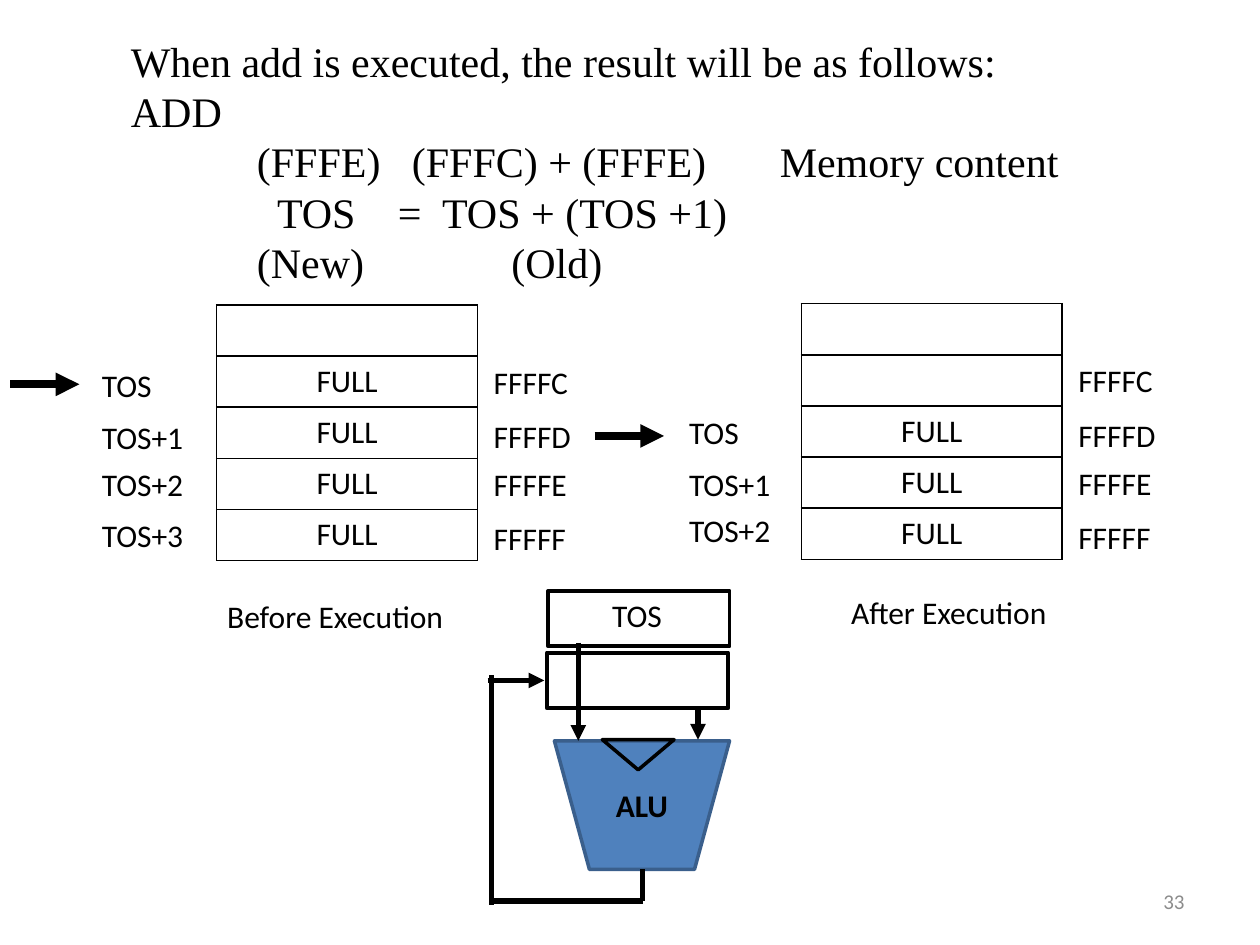
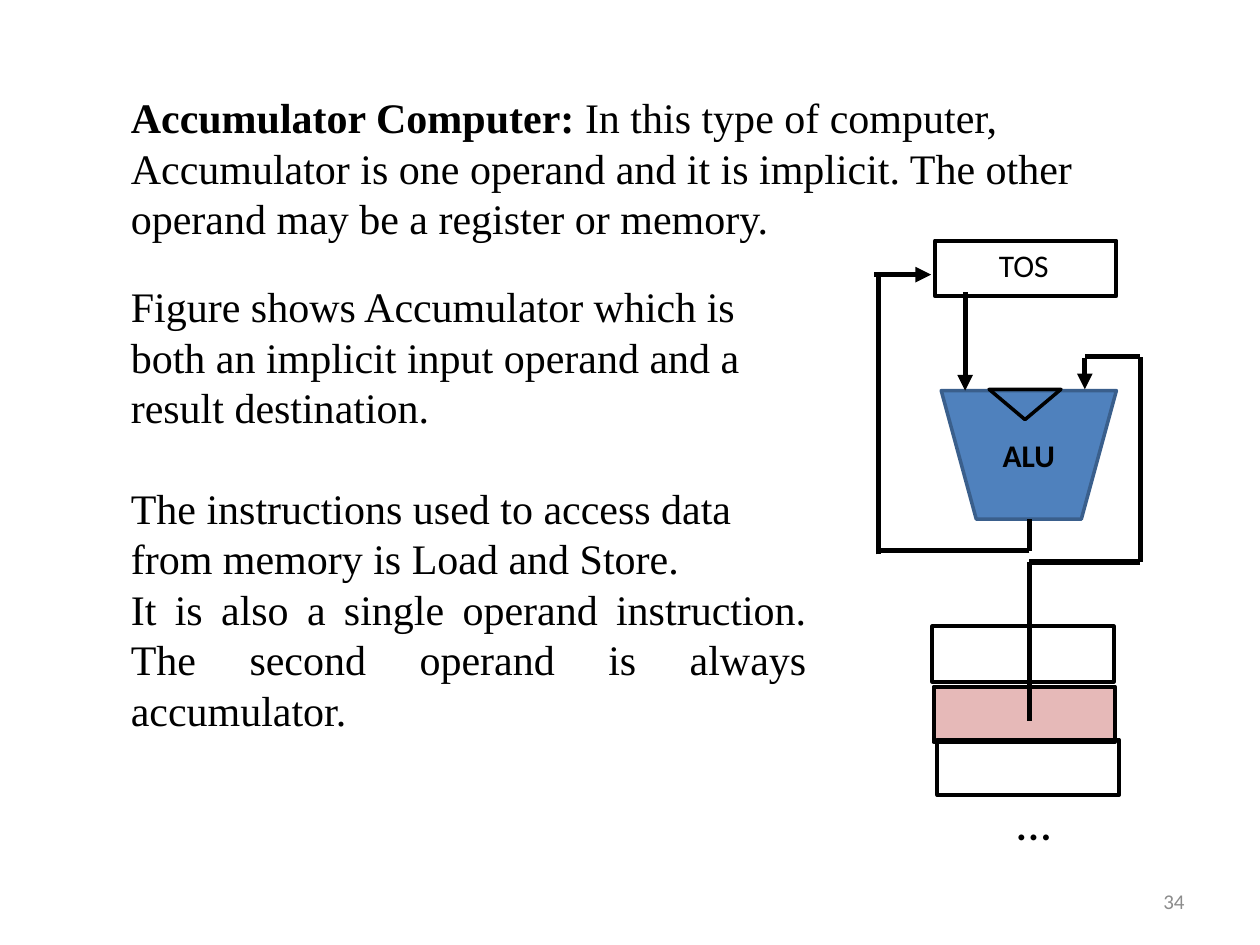
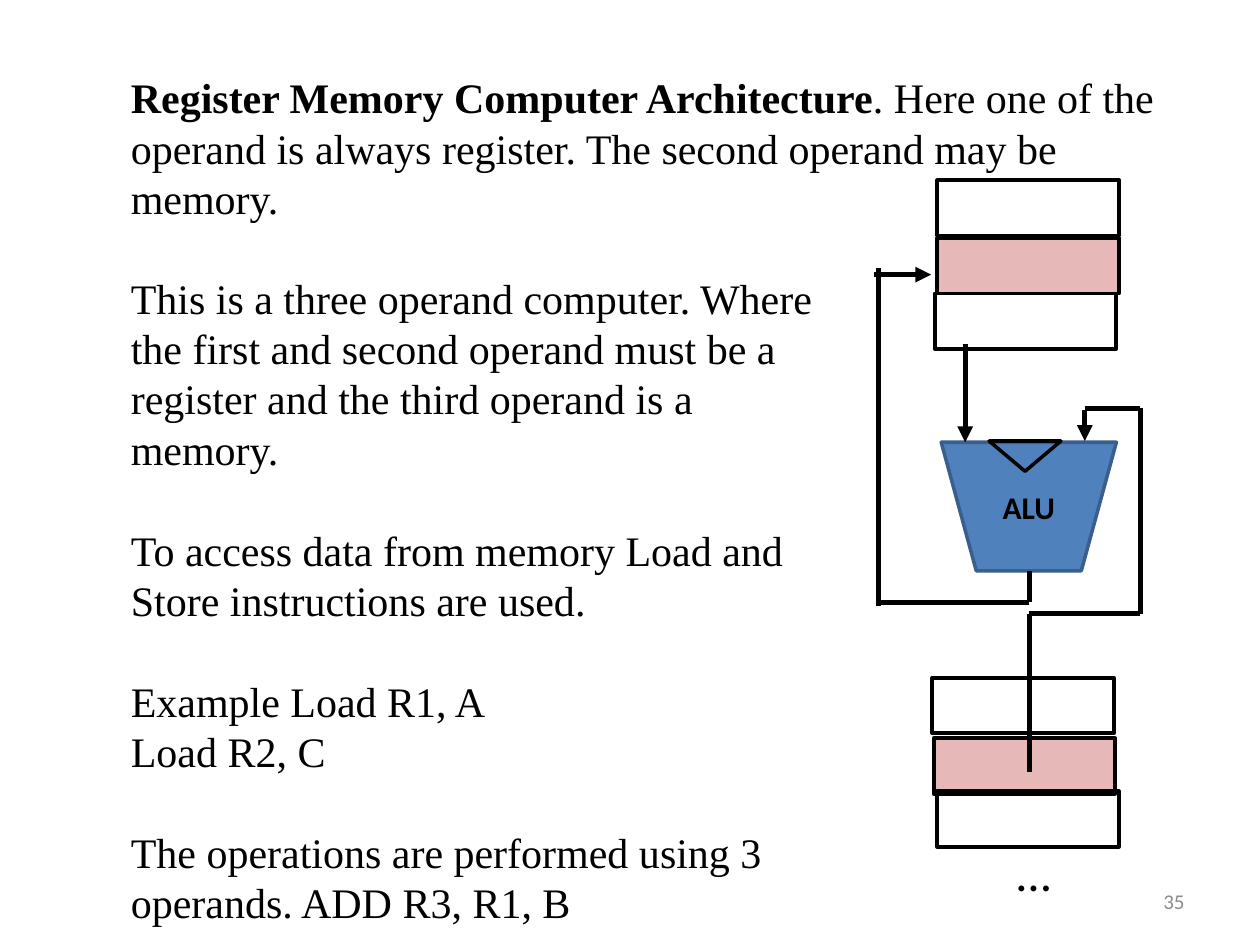
from dataclasses import dataclass
from typing import NamedTuple, Optional

from lxml.etree import SubElement
from pptx import Presentation
from pptx.dml.color import RGBColor
from pptx.enum.shapes import MSO_CONNECTOR, MSO_SHAPE
from pptx.enum.text import MSO_ANCHOR, MSO_AUTO_SIZE, PP_ALIGN
from pptx.oxml.ns import qn
from pptx.shapes.autoshape import Shape
from pptx.slide import Slide
from pptx.text.text import TextFrame
from pptx.util import Emu, Pt

EMU_PER_PX = 9144
COLORS = {
    "ink": "000000",
    "number": "8C8C8C",
    "alu": "4F81BD",
    "alu_edge": "3A5F8C",
    "operand": "E6B9B8",
}
SERIF = "Times New Roman"
SANS = "Calibri"
BLANK_LINE = 28.8
REGISTER_SIZE = (144, 44)
ADDRESSES = ("FFFFC", "FFFFD", "FFFFE", "FFFFF")
ADDRESS_OFFSETS = (41, 84, 122, 165)


class Box(NamedTuple):
    left: int
    top: int
    width: int
    height: int


class Point(NamedTuple):
    x: int
    y: int


@dataclass(frozen=True)
class Style:
    size: float
    font: str = SANS
    color: str = "ink"
    bold: bool = False


BODY = Style(24, SERIF)
BODY_BOLD = Style(24, SERIF, bold=True)
LABEL = Style(18)
ALU_LABEL = Style(18, bold=True)
ELLIPSIS = Style(28)
NUMBER = Style(12, color="number")


class Span(NamedTuple):
    text: str
    style: Style = BODY


@dataclass(frozen=True)
class TextLine:
    spans: tuple[Span, ...]
    align: PP_ALIGN = PP_ALIGN.LEFT
    space_before: float = 0
    tabs: tuple[int, ...] = ()


class Wire(NamedTuple):
    start: Point
    end: Point
    arrow: bool = False
    width: float = 3


class Register(NamedTuple):
    left: int
    top: int
    fill: Optional[str] = None


@dataclass(frozen=True)
class StackView:
    left: int
    top: int
    empty_rows: int
    labels_left: int
    label_offsets: tuple[int, ...]
    pointer_offset: int
    caption: str
    caption_box: Box


@dataclass(frozen=True)
class AluView:
    origin: Point
    feedback_y: int
    riser_top: int
    registers: tuple[Register, ...]
    tos_label: Optional[Point] = None
    has_memory: bool = False


STACKS = (
    StackView(172, 242, 1, 71, (44, 85, 122, 163), 63,
              "Before Execution", Box(150, 469, 232, 40)),
    StackView(636, 241, 2, 537, (82, 123, 160), 105,
              "After Execution", Box(637, 466, 232, 40)),
)
STACK_ALU = AluView(Point(440, 588), 540, 536,
                    (Register(435, 469), Register(434, 518)), Point(476, 468))
ACCUMULATOR_ALU = AluView(Point(747, 310), 218, 218,
                          (Register(742, 191),), Point(783, 190), True)
REGISTER_ALU = AluView(Point(747, 351), 218, 213,
                       (Register(742, 233), Register(744, 189, "operand"),
                        Register(744, 143)), has_memory=True)


def px(length: int) -> Emu:
    return Emu(length * EMU_PER_PX)


def color(name: str) -> RGBColor:
    return RGBColor.from_string(COLORS[name])


def body(text: str, space_before: float = 0, align: PP_ALIGN = PP_ALIGN.LEFT,
         tabs: tuple[int, ...] = ()) -> TextLine:
    return TextLine((Span(text),), align, space_before, tabs)


def fill_text(text_frame: TextFrame, lines: tuple[TextLine, ...]) -> None:
    for index, line in enumerate(lines):
        paragraph = text_frame.paragraphs[0] if index == 0 else text_frame.add_paragraph()
        if line.tabs:
            tab_list = SubElement(paragraph._p.get_or_add_pPr(), qn("a:tabLst"))
            for position in line.tabs:
                SubElement(tab_list, qn("a:tab"), pos=str(px(position)), algn="l")
        paragraph.alignment = line.align
        if line.space_before:
            paragraph.space_before = Pt(line.space_before)
        for span in line.spans:
            run = paragraph.add_run()
            run.text = span.text
            run.font.name = span.style.font
            run.font.size = Pt(span.style.size)
            run.font.bold = span.style.bold
            run.font.color.rgb = color(span.style.color)


def add_text(slide: Slide, box: Box, *lines: TextLine) -> TextFrame:
    text_frame = slide.shapes.add_textbox(*map(px, box)).text_frame
    text_frame.word_wrap = True
    text_frame.auto_size = MSO_AUTO_SIZE.SHAPE_TO_FIT_TEXT
    fill_text(text_frame, lines)
    return text_frame


def add_label(slide: Slide, box: Box, text: str, align: PP_ALIGN = PP_ALIGN.LEFT) -> None:
    add_text(slide, box, TextLine((Span(text, LABEL),), align))


def add_number(slide: Slide, number: int) -> None:
    line = TextLine((Span(str(number), NUMBER),), PP_ALIGN.RIGHT)
    text_frame = add_text(slide, Box(717, 695, 233, 40), line)
    text_frame.auto_size = MSO_AUTO_SIZE.NONE
    text_frame.vertical_anchor = MSO_ANCHOR.MIDDLE


def add_figure(slide: Slide, kind: MSO_SHAPE, box: Box, line_width: float,
               fill: Optional[str] = None, edge: str = "ink") -> Shape:
    shape = slide.shapes.add_shape(kind, *map(px, box))
    shape.shadow.inherit = False
    if fill:
        shape.fill.solid()
        shape.fill.fore_color.rgb = color(fill)
    else:
        shape.fill.background()
    shape.line.color.rgb = color(edge)
    shape.line.width = Pt(line_width)
    return shape


def add_register(slide: Slide, register: Register) -> None:
    box = Box(register.left, register.top, *REGISTER_SIZE)
    add_figure(slide, MSO_SHAPE.RECTANGLE, box, 2.25, register.fill)


def add_wire(slide: Slide, wire: Wire) -> None:
    connector = slide.shapes.add_connector(
        MSO_CONNECTOR.STRAIGHT, *map(px, (*wire.start, *wire.end)))
    connector.line.color.rgb = color("ink")
    connector.line.width = Pt(wire.width)
    properties = connector._element.spPr
    if wire.arrow:
        SubElement(properties.find(qn("a:ln")), qn("a:tailEnd"), type="triangle")
    SubElement(properties, qn("a:effectLst"))


def add_stack(slide: Slide, stack: StackView) -> None:
    table = slide.shapes.add_table(
        5, 1, *map(px, (stack.left, stack.top, 207, 203))).table
    table.first_row = False
    table.horz_banding = False
    for index, row in enumerate(table.rows):
        cell = row.cells[0]
        if index >= stack.empty_rows:
            fill_text(cell.text_frame, (TextLine((Span("FULL", LABEL),), PP_ALIGN.CENTER),))
        properties = cell._tc.get_or_add_tcPr()
        for side in ("lnL", "lnR", "lnT", "lnB"):
            border = SubElement(properties, qn(f"a:{side}"), w=str(Pt(1)))
            solid = SubElement(border, qn("a:solidFill"))
            SubElement(solid, qn("a:srgbClr"), val=COLORS["ink"])
        cell.fill.background()
    for address, offset in zip(ADDRESSES, ADDRESS_OFFSETS):
        add_label(slide, Box(stack.left + 210, stack.top + offset, 153, 40), address)
    for index, offset in enumerate(stack.label_offsets):
        name = f"TOS+{index}" if index else "TOS"
        add_label(slide, Box(stack.labels_left, stack.top + offset, 102, 40), name)
    pointer_y = stack.top + stack.pointer_offset
    add_wire(slide, Wire(Point(stack.left - 164, pointer_y),
                         Point(stack.left - 109, pointer_y), True, 4.5))
    add_label(slide, stack.caption_box, stack.caption, PP_ALIGN.CENTER)


def add_memory(slide: Slide, origin: Point) -> None:
    x, y = origin
    for left, top, fill in ((-7, 187, None), (-6, 235, "operand"), (-3, 277, None)):
        add_register(slide, Register(x + left, y + top, fill))
    dots = add_text(slide, Box(x - 6, y + 313, 138, 57), TextLine((Span("…", ELLIPSIS),)))
    dots.margin_left = px(66)
    corners = [Point(x + dx, y + dy) for dx, dy in
               ((70, 262), (70, 136), (158, 136), (158, -27), (114, -27))]
    for start, end in zip(corners, corners[1:]):
        add_wire(slide, Wire(start, end))


def add_alu(slide: Slide, view: AluView) -> None:
    x, y = view.origin
    alu = add_figure(slide, MSO_SHAPE.FLOWCHART_MANUAL_OPERATION,
                     Box(x, y, 139, 102), 2, "alu", "alu_edge")
    alu.text_frame.vertical_anchor = MSO_ANCHOR.MIDDLE
    fill_text(alu.text_frame, (TextLine((Span("ALU", ALU_LABEL),), PP_ALIGN.CENTER),))
    notch = add_figure(slide, MSO_SHAPE.ISOSCELES_TRIANGLE, Box(x + 38, y - 1, 57, 24), 2)
    notch.rotation = 180
    for register in view.registers:
        add_register(slide, register)
    output_x, riser_x, turn_y = x + 70, x - 50, y + 127
    wires = (
        Wire(Point(x + 19, y - 78), Point(x + 19, y), True),
        Wire(Point(x + 114, y - 26), Point(x + 114, y - 1), True),
        Wire(Point(output_x, y + 102), Point(output_x, turn_y)),
        Wire(Point(output_x, turn_y), Point(riser_x, turn_y)),
        Wire(Point(riser_x, turn_y + 3), Point(riser_x, view.riser_top)),
        Wire(Point(riser_x - 3, view.feedback_y), Point(x - 8, view.feedback_y), True),
    )
    for wire in wires:
        add_wire(slide, wire)
    if view.tos_label:
        add_label(slide, Box(*view.tos_label, 95, 40), "TOS")
    if view.has_memory:
        add_memory(slide, view.origin)


def build_stack_slide(slide: Slide) -> None:
    add_text(
        slide, Box(94, 23, 878, 212),
        body("When add is executed, the result will be as follows:"),
        body("ADD"),
        body("\t(FFFE)\t(FFFC) + (FFFE)\tMemory content", tabs=(100, 223, 515)),
        body("\tTOS\t=\tTOS + (TOS +1)", tabs=(116, 212, 247)),
        body("\t(New)\t(Old)", tabs=(100, 302)),
    )
    for stack in STACKS:
        add_stack(slide, stack)
    add_alu(slide, STACK_ALU)


def build_accumulator_slide(slide: Slide) -> None:
    add_text(slide, Box(94, 68, 871, 131), TextLine((
        Span("Accumulator Computer: ", BODY_BOLD),
        Span("In this type of computer, Accumulator is one operand and it is implicit. "
             "The other operand may be a register or memory."),
    )))
    add_alu(slide, ACCUMULATOR_ALU)
    add_text(
        slide, Box(94, 218, 556, 414),
        body("Figure shows Accumulator which is both an implicit input operand "
             "and a result destination."),
        body("The instructions used to access data from memory is Load and Store.", BLANK_LINE),
        body("It is also a single operand instruction. "
             "The second operand is always accumulator.", align=PP_ALIGN.JUSTIFY),
    )


def build_register_slide(slide: Slide) -> None:
    add_text(slide, Box(94, 52, 856, 131), TextLine((
        Span("Register Memory Computer Architecture", BODY_BOLD),
        Span(". Here one of the operand is always register. "
             "The second operand may be memory."),
    )))
    add_alu(slide, REGISTER_ALU)
    add_text(
        slide, Box(94, 211, 587, 535),
        body("This is a three operand computer. Where the first and second operand "
             "must be a register and the third operand is a memory."),
        body("To access data from memory Load and Store instructions are used.", BLANK_LINE),
        body("Example Load R1, A", BLANK_LINE),
        body("Load R2, C"),
        body("The operations are performed using 3 operands. ADD R3, R1, B", BLANK_LINE),
    )


def main() -> None:
    presentation = Presentation()
    presentation.slide_width = px(1000)
    presentation.slide_height = px(750)
    blank_layout = presentation.slide_layouts[6]
    builders = (build_stack_slide, build_accumulator_slide, build_register_slide)
    for number, build in enumerate(builders, start=33):
        slide = presentation.slides.add_slide(blank_layout)
        build(slide)
        add_number(slide, number)
    presentation.save("out.pptx")


if __name__ == "__main__":
    main()
